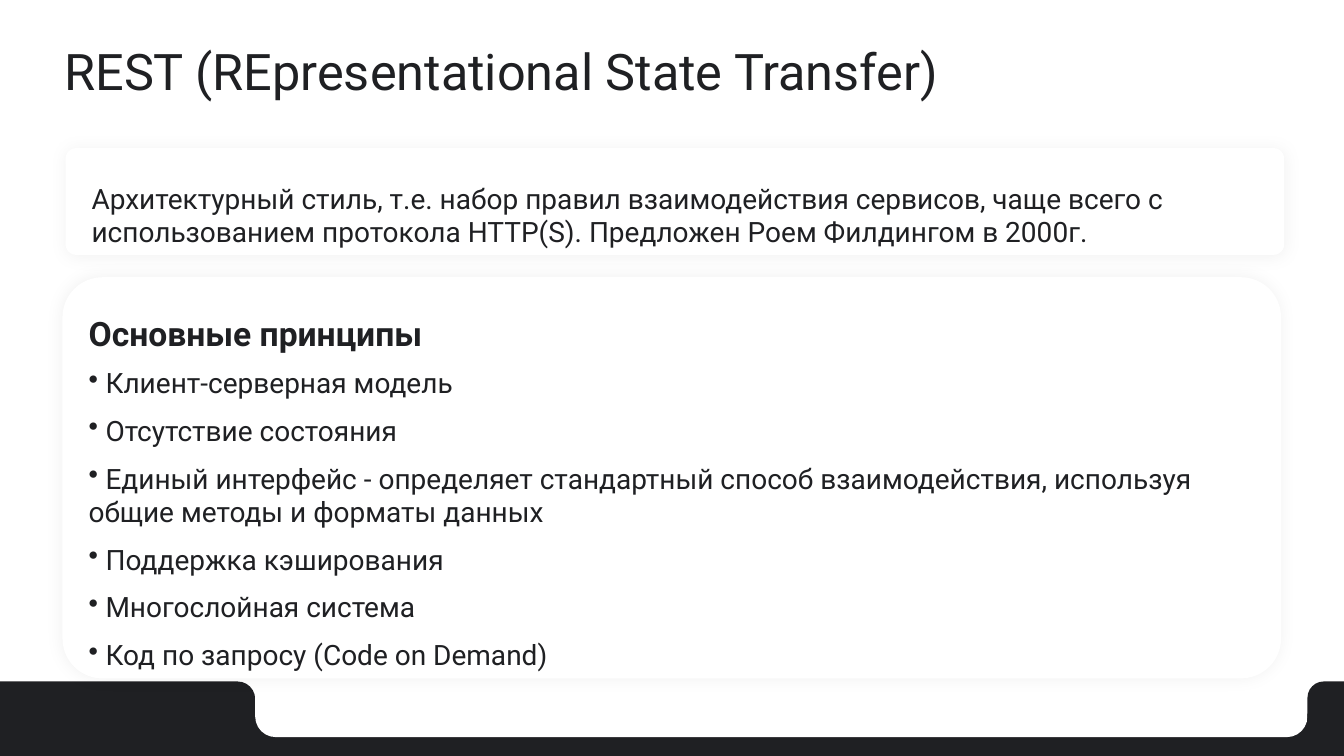
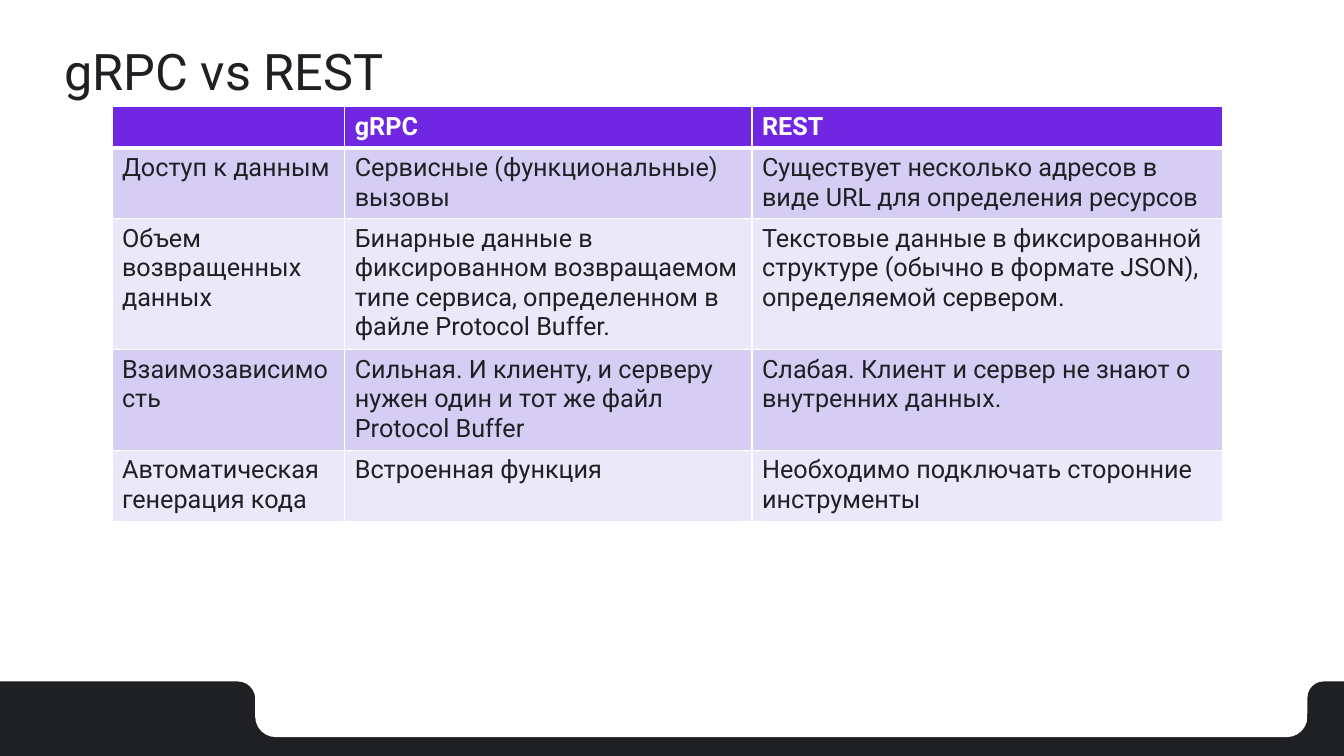
"""Build two slides on REST: its principles, and a comparison with gRPC."""
from dataclasses import dataclass

from lxml import etree
from pptx import Presentation
from pptx.dml.color import RGBColor
from pptx.enum import shapes, text
from pptx.oxml import ns
from pptx.oxml import parse_xml
from pptx.shapes.autoshape import Shape
from pptx.slide import Slide
from pptx.table import _Cell
from pptx.text.text import TextFrame, _Paragraph
from pptx.util import Pt

INK = RGBColor(0x1F, 0x20, 0x23)
WHITE = RGBColor(0xFF, 0xFF, 0xFF)
VIOLET = RGBColor(0x70, 0x27, 0xE2)
LILAC = RGBColor(0xD5, 0xCD, 0xF4)
PALE_LILAC = RGBColor(0xEB, 0xE8, 0xFA)
FONT = "Roboto"


@dataclass(frozen=True)
class Box:
    """A rectangle in points."""

    left: float
    top: float
    width: float
    height: float

    def lengths(self) -> tuple[Pt, Pt, Pt, Pt]:
        return Pt(self.left), Pt(self.top), Pt(self.width), Pt(self.height)


@dataclass(frozen=True)
class Panel:
    """A rounded panel; rounding is the share of the shorter side."""

    box: Box
    rounding: float
    color: RGBColor = WHITE
    glow: bool = False


FOOTER = (
    Panel(Box(-21, 486.8, 203.3, 96.5), 0.13, INK),
    Panel(Box(145.5, 509.8, 846, 73.5), 0.17, INK),
    Panel(Box(182.3, 453, 751.6, 73.5), 0.2),
    Panel(Box(933.9, 486.8, 77.8, 96.5), 0.15, INK),
)
TITLE_BOX = Box(38.9, 28.1, 828, 49.7)

DEFINITION_PANEL = Panel(Box(46.8, 105.8, 870.5, 76.3), 0.1, glow=True)
PRINCIPLES_PANEL = Panel(Box(44.6, 198, 870.5, 286.6), 0.1, glow=True)
DEFINITION_BOX = Box(58.3, 126, 829.4, 55.4)
HEADING_BOX = Box(56.2, 211, 573, 51.8)
PRINCIPLES_BOX = Box(56.2, 257.8, 829.4, 227.5)

DEFINITION = (
    "Архитектурный стиль, т.е. набор правил взаимодействия сервисов, чаще всего с "
    "использованием протокола HTTP(S). Предложен Роем Филдингом в 2000г."
)
PRINCIPLES = (
    "Клиент-серверная модель",
    "Отсутствие состояния",
    "Единый интерфейс - определяет стандартный способ взаимодействия, "
    "используя общие методы и форматы данных",
    "Поддержка кэширования",
    "Многослойная система",
    "Код по запросу (Code on Demand)",
)

COLUMN_WIDTHS = (166.3, 290.9, 336.3)
ROW_HEIGHT = 29.5
COMPARISON = (
    ("", "gRPC", "REST"),
    (
        "Доступ к данным",
        "Сервисные (функциональные) вызовы",
        "Существует несколько адресов в виде URL для определения ресурсов",
    ),
    (
        "Объем возвращенных данных",
        "Бинарные данные в фиксированном возвращаемом типе сервиса, "
        "определенном в файле Protocol Buffer.",
        "Текстовые данные в фиксированной структуре (обычно в формате JSON), "
        "определяемой сервером.",
    ),
    (
        "Взаимозависимость",
        "Сильная. И клиенту, и серверу нужен один и тот же файл Protocol Buffer",
        "Слабая. Клиент и сервер не знают о внутренних данных.",
    ),
    (
        "Автоматическая генерация кода",
        "Встроенная функция",
        "Необходимо подключать сторонние инструменты",
    ),
)


def style(paragraph: _Paragraph, size: float, color: RGBColor = INK, bold: bool = False) -> None:
    for run in paragraph.runs:
        run.font.name = FONT
        run.font.size = Pt(size)
        run.font.bold = bold
        run.font.color.rgb = color


def add_glow(panel: Shape) -> None:
    effects = panel.element.spPr.find(ns.qn("a:effectLst"))
    effects.append(parse_xml(
        f'<a:outerShdw {ns.nsdecls("a")} blurRad="{Pt(12)}" dist="0" dir="0" '
        'algn="ctr" rotWithShape="0"><a:srgbClr val="000000">'
        '<a:alpha val="6000"/></a:srgbClr></a:outerShdw>'
    ))


def draw_panel(slide: Slide, panel: Panel) -> None:
    drawn = slide.shapes.add_shape(
        shapes.MSO_SHAPE.ROUNDED_RECTANGLE, *panel.box.lengths())
    drawn.adjustments[0] = panel.rounding
    drawn.fill.solid()
    drawn.fill.fore_color.rgb = panel.color
    drawn.line.fill.background()
    drawn.shadow.inherit = False
    if panel.glow:
        add_glow(drawn)


def add_text(slide: Slide, box: Box, content: str, size: float,
             spacing: float = 1.0, bold: bool = False) -> TextFrame:
    frame = slide.shapes.add_textbox(*box.lengths()).text_frame
    frame.word_wrap = True
    frame.text = content
    for paragraph in frame.paragraphs:
        paragraph.line_spacing = spacing
        style(paragraph, size, bold=bold)
    return frame


def add_bullets(frame: TextFrame) -> None:
    for index, paragraph in enumerate(frame.paragraphs):
        paragraph.space_before = Pt(10 if index else 0)
        properties = paragraph._p.get_or_add_pPr()
        etree.SubElement(properties, ns.qn("a:buChar"), char="•")


def start_slide(deck: Presentation, title: str) -> Slide:
    slide = deck.slides.add_slide(deck.slide_layouts[6])
    for panel in FOOTER:
        draw_panel(slide, panel)
    heading = add_text(slide, TITLE_BOX, title, 36, spacing=0.9)
    heading.vertical_anchor = text.MSO_ANCHOR.MIDDLE
    return slide


def set_borders(cell: _Cell, top: float, bottom: float) -> None:
    properties = cell._tc.get_or_add_tcPr()
    for side, width in (("L", 1), ("R", 1), ("T", top), ("B", bottom)):
        properties.append(parse_xml(
            f'<a:ln{side} {ns.nsdecls("a")} w="{Pt(width)}"><a:solidFill>'
            f'<a:srgbClr val="{WHITE}"/></a:solidFill></a:ln{side}>'
        ))


def draw_comparison(slide: Slide) -> None:
    frame_box = Box(80, 76.3, sum(COLUMN_WIDTHS), ROW_HEIGHT * len(COMPARISON))
    table = slide.shapes.add_table(
        len(COMPARISON), len(COLUMN_WIDTHS), *frame_box.lengths()).table
    for column, width in zip(table.columns, COLUMN_WIDTHS):
        column.width = Pt(width)
    for index, (row, entries) in enumerate(zip(table.rows, COMPARISON)):
        row.height = Pt(ROW_HEIGHT)
        header = index == 0
        band = VIOLET if header else (PALE_LILAC, LILAC)[index % 2]
        for cell, entry in zip(row.cells, entries):
            set_borders(cell, 3 if index == 1 else 1, 3 if header else 1)
            cell.fill.solid()
            cell.fill.fore_color.rgb = band
            cell.text_frame.text = entry
            style(cell.text_frame.paragraphs[0], 18, WHITE if header else INK, header)


def draw_principles(slide: Slide) -> None:
    draw_panel(slide, DEFINITION_PANEL)
    add_text(slide, DEFINITION_BOX, DEFINITION, 20)
    draw_panel(slide, PRINCIPLES_PANEL)
    add_text(slide, HEADING_BOX, "Основные принципы", 24, spacing=1.3, bold=True)
    principles = "\n".join(f" {principle}" for principle in PRINCIPLES)
    add_bullets(add_text(slide, PRINCIPLES_BOX, principles, 20))


def main() -> None:
    deck = Presentation()
    deck.slide_width, deck.slide_height = Pt(960), Pt(540)
    draw_principles(start_slide(deck, "REST (REpresentational State Transfer)"))
    draw_comparison(start_slide(deck, "gRPC vs REST"))
    deck.save("out.pptx")


if __name__ == "__main__":
    main()
